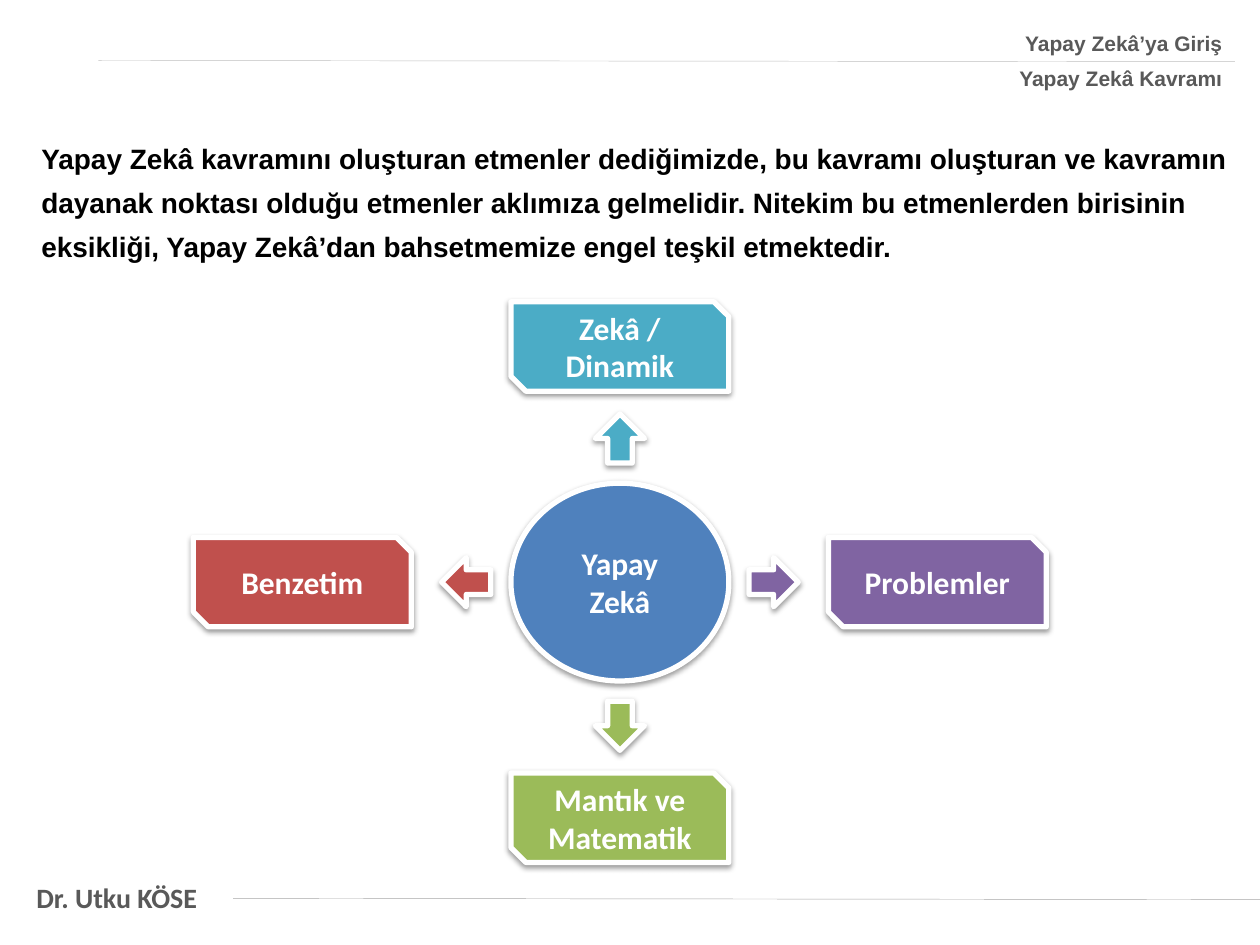
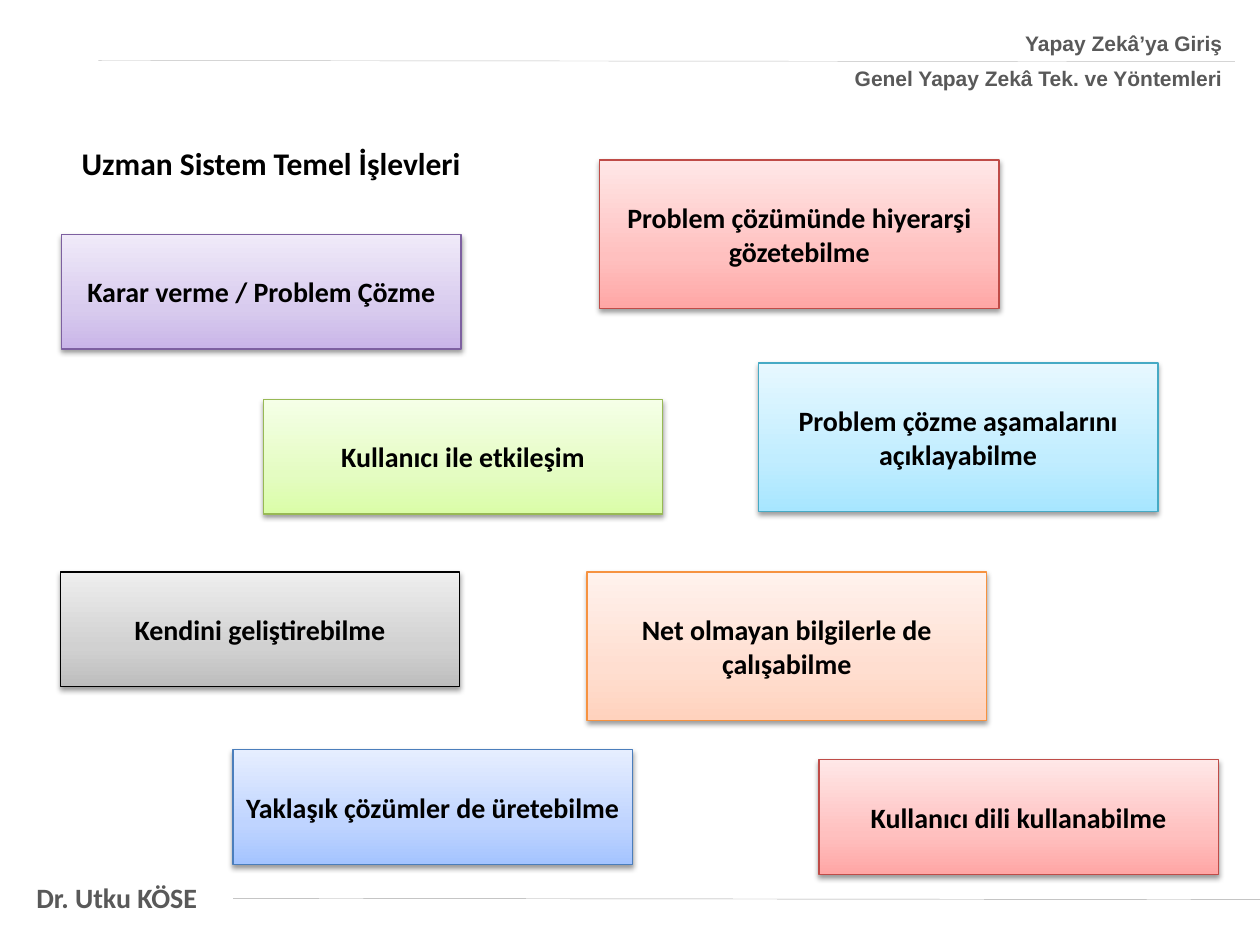
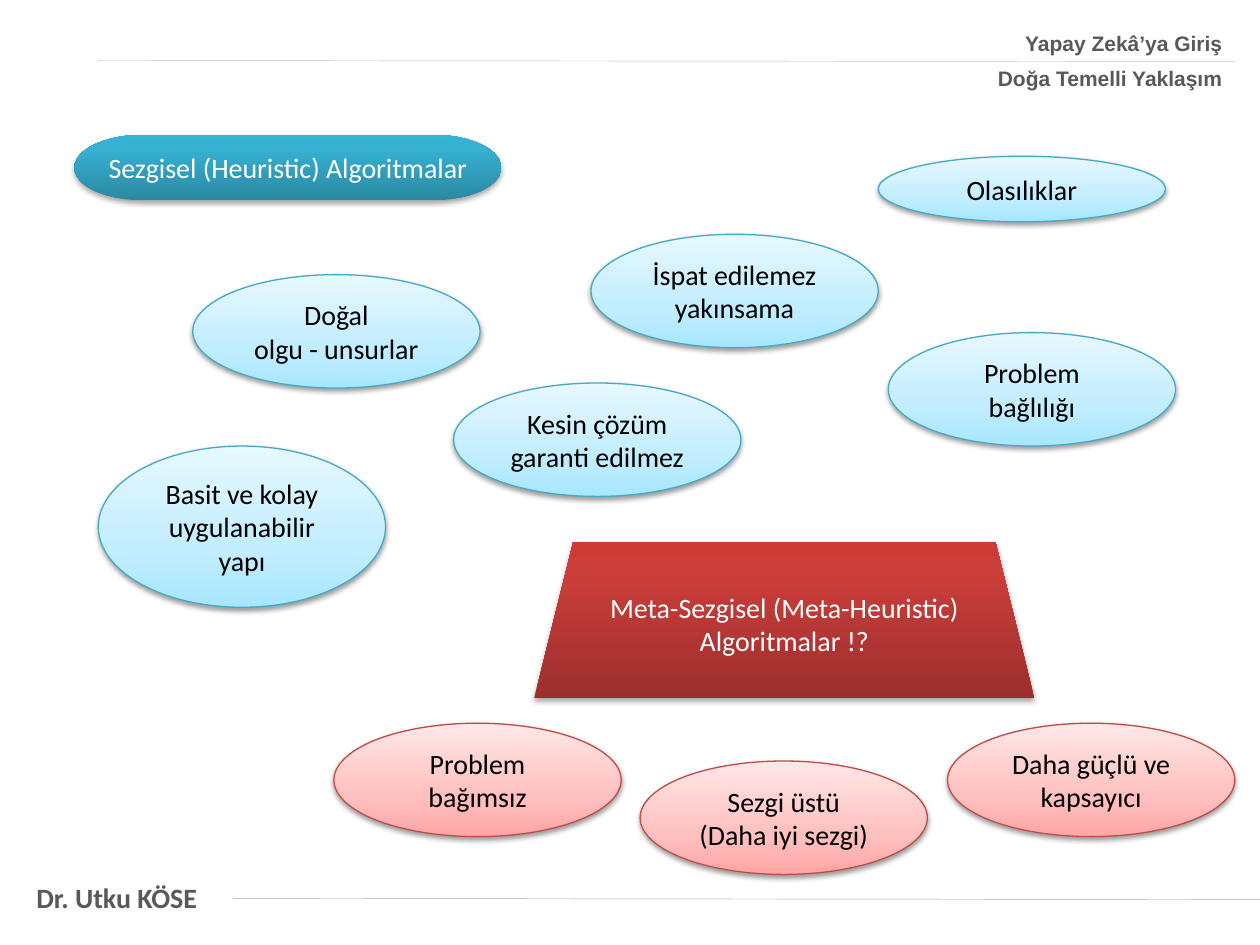
import copy

import pptx
import pptx.dml.color
import pptx.enum.shapes
import pptx.enum.text
import pptx.oxml
import pptx.oxml.ns
import pptx.util

Inches, Pt = pptx.util.Inches, pptx.util.Pt
SHAPE = pptx.enum.shapes.MSO_SHAPE
ALIGN = pptx.enum.text.PP_ALIGN
ANCHOR = pptx.enum.text.MSO_ANCHOR

COLORS = {
    "white": "FFFFFF", "black": "000000", "gray": "595959",
    "header_rule": "BFBFBF", "footer_rule": "A6A6A6",
    "blue": "4F81BD", "aqua": "4BACC6", "purple": "8064A2",
    "red": "C0504D", "green": "9BBB59",
}
# Gradients run from bottom to top: ((position, colour), ...), outline
GRADIENTS = {
    "purple": (((0, "C9B5E8"), (.35, "D8CBEE"), (1, "F0EAF9")), "7D60A0"),
    "red": (((0, "FFA6A5"), (.35, "FFC0BF"), (1, "FFE7E7")), "BF4C48"),
    "green": (((0, "DAFDA7"), (.35, "E4FCC2"), (1, "F5FFE7")), "98B955"),
    "aqua": (((0, "A7E6FF"), (.35, "C1EDFF"), (1, "E7F8FF")), "46AAC5"),
    "gray": (((0, "BDBDBD"), (.35, "D1D1D1"), (1, "EEEEEE")), "000000"),
    "orange": (((0, "FFD2BD"), (.35, "FFDED0"), (1, "FFF2ED")), "F69240"),
    "blue": (((0, "A4C4FF"), (.35, "BFD4FF"), (1, "E6EEFF")), "4B7EBC"),
    "deep_aqua": (((0, "2A88A2"), (.8, "37B1D2"), (1, "34B4D6")), None),
    "deep_red": (((0, "9C2F2D"), (.8, "CB3E3A"), (1, "CE3B37")), None),
}

COURSE = "Yapay Zekâ’ya Giriş"
AUTHOR = "Dr. Utku KÖSE"
HEADER_RIGHT = 9.8

INTRO = """Yapay Zekâ kavramını oluşturan etmenler dediğimizde, bu kavramı oluşturan ve kavramın
dayanak noktası olduğu etmenler aklımıza gelmelidir. Nitekim bu etmenlerden birisinin
eksikliği, Yapay Zekâ’dan bahsetmemize engel teşkil etmektedir."""
HUB = "Yapay Zekâ"
# text, colour, arrow, direction across, direction down
FACTORS = [
    ("Zekâ / Dinamik", "aqua", SHAPE.UP_ARROW, 0, -1),
    ("Problemler", "purple", SHAPE.RIGHT_ARROW, 1, 0),
    ("Benzetim", "red", SHAPE.LEFT_ARROW, -1, 0),
    ("Mantık ve Matematik", "green", SHAPE.DOWN_ARROW, 0, 1),
]

FUNCTIONS_TITLE = "Uzman Sistem Temel İşlevleri"
FUNCTION_WIDTH, ONE_LINE, TWO_LINES = 3.17, .91, 1.18
# text, gradient, left, top, height
FUNCTIONS = [
    ("Karar verme / Problem Çözme", "purple", .49, 1.86, ONE_LINE),
    ("Problem çözümünde hiyerarşi gözetebilme", "red", 4.76, 1.27, TWO_LINES),
    ("Kullanıcı ile etkileşim", "green", 2.09, 3.17, ONE_LINE),
    ("Problem çözme aşamalarını açıklayabilme", "aqua", 6.02, 2.88, TWO_LINES),
    ("Kendini geliştirebilme", "gray", .48, 4.54, ONE_LINE),
    ("Net olmayan bilgilerle de çalışabilme", "orange", 4.66, 4.54, TWO_LINES),
    ("Yaklaşık çözümler de üretebilme", "blue", 1.85, 5.95, ONE_LINE),
    ("Kullanıcı dili kullanabilme", "red", 6.5, 6.03, ONE_LINE),
]

# text, gradient, shape, box
ALGORITHM_TITLES = [
    ("Sezgisel (Heuristic) Algoritmalar", "deep_aqua",
     SHAPE.FLOWCHART_TERMINATOR, (.59, 1.07, 3.39, .52)),
    ("Meta-Sezgisel (Meta-Heuristic) Algoritmalar !?", "deep_red",
     SHAPE.TRAPEZOID, (4.24, 4.3, 3.97, 1.24)),
]
TRAIT_WIDTH = 2.28
# text, gradient, left, top, height
TRAITS = [
    ("Doğal\nolgu - unsurlar", "aqua", 1.53, 2.18, .9),
    ("İspat edilemez\nyakınsama", "aqua", 4.69, 1.86, .9),
    ("Kesin çözüm garanti edilmez", "aqua", 3.6, 3.04, .9),
    ("Basit ve kolay uygulanabilir yapı", "aqua", .78, 3.54, 1.28),
    ("Olasılıklar", "aqua", 6.97, 1.24, .52),
    ("Problem bağlılığı", "aqua", 7.05, 2.64, .9),
    ("Problem bağımsız", "red", 2.65, 5.74, .9),
    ("Sezgi üstü\n(Daha iyi sezgi)", "red", 5.08, 6.04, .9),
    ("Daha güçlü ve kapsayıcı", "red", 7.52, 5.74, .9),
]


def rgb(value):
    return pptx.dml.color.RGBColor.from_string(value)


def write(sp, text, size=16, color="black", bold=False, font="Calibri",
          align=ALIGN.LEFT, anchor=ANCHOR.TOP, wrap=True, before=0, after=0):
    tf = sp.text_frame
    tf.word_wrap = wrap
    tf.vertical_anchor = anchor
    for i, line in enumerate(text.split("\n")):
        p = tf.add_paragraph() if i else tf.paragraphs[0]
        p.alignment = align
        p.space_before = Pt(before if i else 0)
        p.space_after = Pt(after)
        r = p.add_run()
        r.text = line
        r.font.name, r.font.size, r.font.bold = font, Pt(size), bold
        r.font.color.rgb = rgb(COLORS[color])


def add_text(s, box, text, **style):
    write(s.shapes.add_textbox(*map(Inches, box)), text, **style)


def add_rule(s, start, end, color):
    line = s.shapes.add_connector(pptx.enum.shapes.MSO_CONNECTOR.STRAIGHT,
                                  *map(Inches, start + end))
    line.line.color.rgb = rgb(COLORS[color])
    line.line.width = Pt(.25)
    line._element.spPr.append(pptx.oxml.parse_xml(
        "<a:effectLst %s/>" % pptx.oxml.ns.nsdecls("a")))


def add_shadowed(s, kind, box, distance=1.6, alpha=38):
    sp = s.shapes.add_shape(kind, *map(Inches, box))
    sp.shadow.inherit = False
    sp._element.spPr.find(pptx.oxml.ns.qn("a:effectLst")).append(pptx.oxml.parse_xml(
        '<a:outerShdw %s blurRad="%d" dist="%d" dir="5400000" rotWithShape="0">'
        '<a:srgbClr val="000000"><a:alpha val="%d"/></a:srgbClr></a:outerShdw>'
        % (pptx.oxml.ns.nsdecls("a"), Pt(3.1), Pt(distance), alpha * 1000)))
    return sp


def add_solid(s, kind, center, size, color, text=None):
    """Add a white-edged shape around its centre."""
    box = [c - d / 2 for c, d in zip(center, size)] + list(size)
    sp = add_shadowed(s, kind, box)
    sp.fill.solid()
    sp.fill.fore_color.rgb = rgb(COLORS[color])
    sp.line.color.rgb = rgb(COLORS["white"])
    sp.line.width = Pt(3)
    if text:
        sp.text_frame.margin_top = sp.text_frame.margin_bottom = 0
        write(sp, text, size=18, color="white", bold=True,
              align=ALIGN.CENTER, anchor=ANCHOR.MIDDLE)


def add_gradient(s, kind, box, gradient, text, bold=False):
    stops, outline = GRADIENTS[gradient]
    shadow = {} if outline else {"distance": 1.8, "alpha": 35}
    sp = add_shadowed(s, kind, box, **shadow)
    sp.fill.gradient()
    sp.fill.gradient_angle = 90
    gs_list = sp._element.spPr.find(".//" + pptx.oxml.ns.qn("a:gsLst"))
    gs_list.append(copy.deepcopy(gs_list[0]))
    for stop, (position, color) in zip(sp.fill.gradient_stops, stops):
        stop.position = position
        stop.color.rgb = rgb(color)
    if outline:
        sp.line.color.rgb = rgb(outline)
        sp.line.width = Pt(.75)
    else:
        sp.line.fill.background()
    write(sp, text, color="black" if outline else "white", bold=bold,
          align=ALIGN.CENTER, anchor=ANCHOR.MIDDLE)


def add_slide(prs, topic, header_width=4.1, wrap=True):
    """Add a blank slide with the shared header and footer."""
    s = prs.slides.add_slide(prs.slide_layouts[6])
    add_text(s, (.19, 6.94, 1.5, .37), AUTHOR, color="gray", bold=True, wrap=False)
    add_rule(s, (1.85, 7.13), (10, 7.14), "footer_rule")
    add_rule(s, (.78, .48), (HEADER_RIGHT, .49), "header_rule")
    add_text(s, (HEADER_RIGHT - header_width, .19, header_width, .59),
             COURSE + "\n" + topic, size=12, color="gray", bold=True,
             font="Arial", align=ALIGN.RIGHT, after=6, wrap=wrap)
    return s


def build_concept(prs):
    s = add_slide(prs, "Yapay Zekâ Kavramı", header_width=1.82, wrap=False)
    add_text(s, (.23, 1.07, 9.92, 1.08), INTRO, bold=True, font="Arial",
             before=3, after=3, wrap=False)
    cx, cy = 4.92, 4.62
    add_solid(s, SHAPE.OVAL, (cx, cy), (1.73, 1.57), "blue", HUB)
    for text, color, arrow, dx, dy in FACTORS:
        add_solid(s, arrow, (cx + 1.22 * dx, cy + 1.14 * dy), (.39, .39), color)
        add_solid(s, SHAPE.SNIP_2_DIAG_RECTANGLE, (cx + 2.52 * dx, cy + 1.87 * dy),
                  (1.73, .71), color, text)


def build_functions(prs):
    s = add_slide(prs, "Genel Yapay Zekâ Tek. ve Yöntemleri")
    add_text(s, (.55, 1.09, 4.65, .4), FUNCTIONS_TITLE, size=18, bold=True)
    for text, gradient, left, top, height in FUNCTIONS:
        add_gradient(s, SHAPE.RECTANGLE, (left, top, FUNCTION_WIDTH, height),
                     gradient, text, bold=True)


def build_algorithms(prs):
    s = add_slide(prs, "Doğa Temelli Yaklaşım")
    for text, gradient, kind, box in ALGORITHM_TITLES:
        add_gradient(s, kind, box, gradient, text)
    for text, gradient, left, top, height in TRAITS:
        add_gradient(s, SHAPE.OVAL, (left, top, TRAIT_WIDTH, height), gradient, text)


def main():
    prs = pptx.Presentation()
    prs.slide_width, prs.slide_height = Inches(10), Inches(7.5)
    build_concept(prs)
    build_functions(prs)
    build_algorithms(prs)
    prs.save("out.pptx")


if __name__ == "__main__":
    main()
